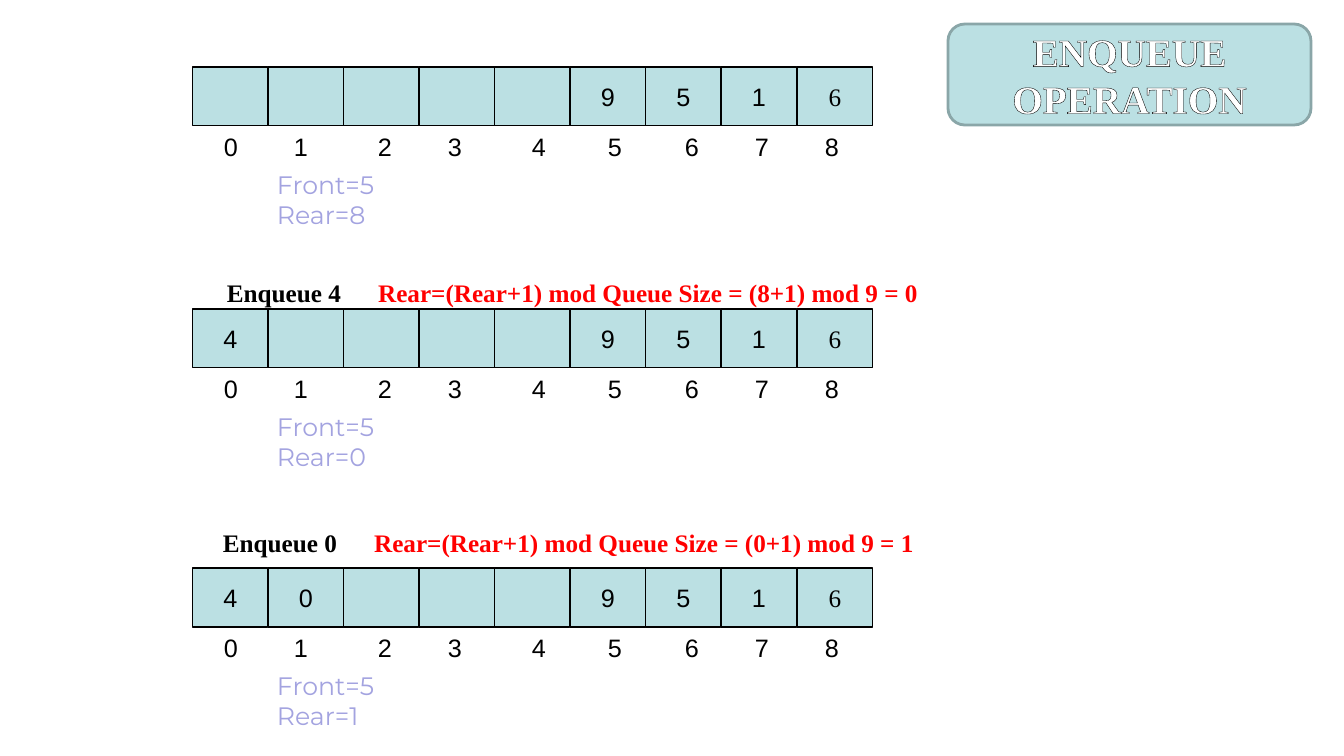
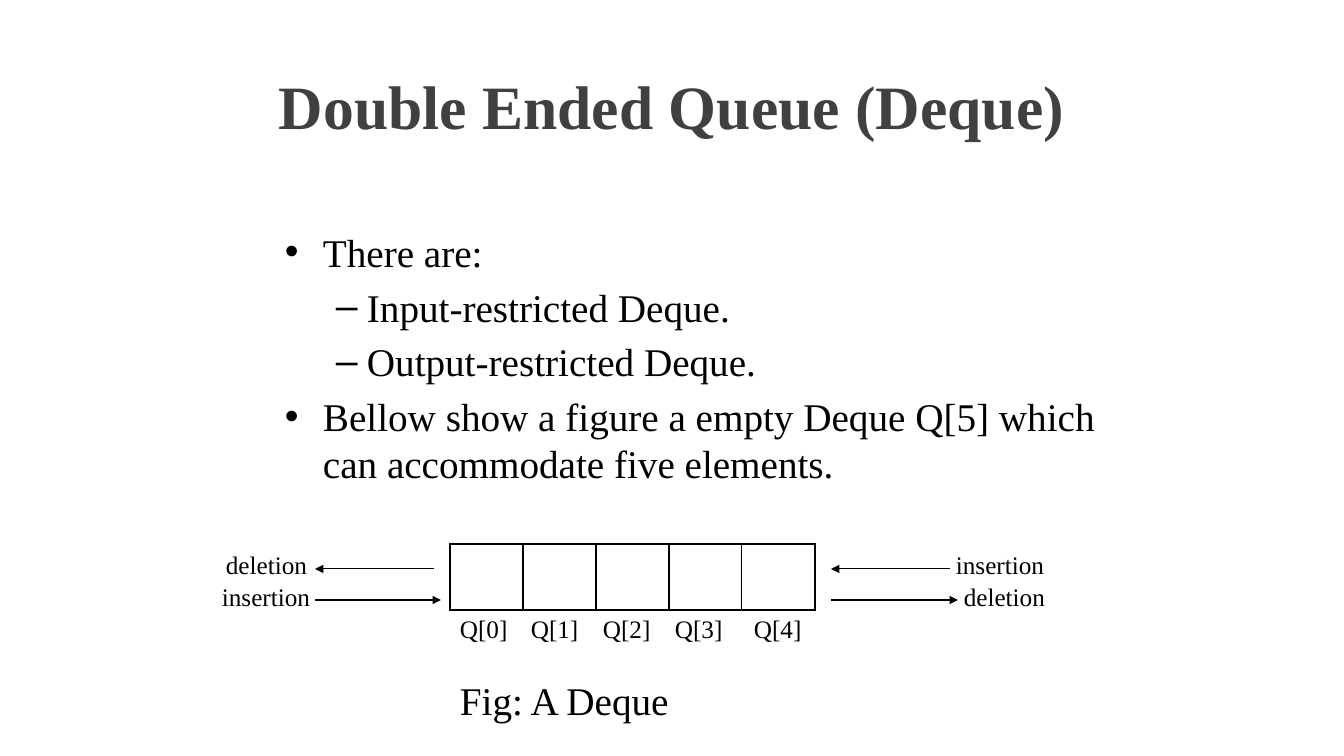
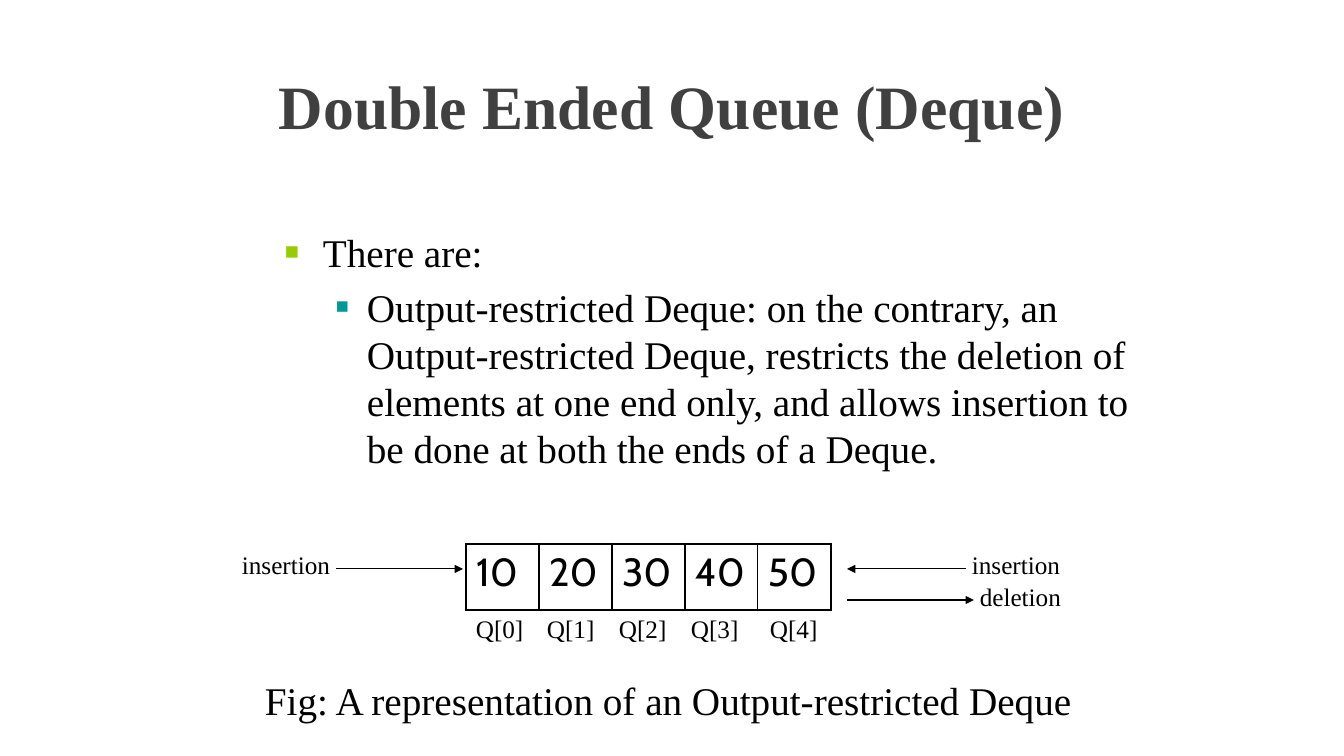
from dataclasses import dataclass
from typing import Optional, Sequence

from lxml.etree import SubElement
from pptx import Presentation
from pptx.dml.color import RGBColor
from pptx.enum.shapes import MSO_CONNECTOR as Connector
from pptx.enum.shapes import MSO_SHAPE as Shape
from pptx.enum.text import MSO_ANCHOR as Anchor
from pptx.enum.text import MSO_AUTO_SIZE as AutoSize
from pptx.enum.text import PP_ALIGN as Align
from pptx.oxml.ns import qn
from pptx.util import Emu, Pt

EMU_PER_INCH = 914400
PX_PER_INCH = 100.8
SLIDE_W, SLIDE_H = 1344, 756

BLACK = RGBColor(0x00, 0x00, 0x00)
WHITE = RGBColor(0xFF, 0xFF, 0xFF)
RED = RGBColor(0xFF, 0x00, 0x00)
AQUA = RGBColor(0xBB, 0xE0, 0xE3)
AQUA_EDGE = RGBColor(0x8A, 0xA6, 0xA8)
LAVENDER = RGBColor(0xA3, 0xA3, 0xE0)
TITLE_GREY = RGBColor(0x40, 0x40, 0x40)
LIME = RGBColor(0x99, 0xCC, 0x00)
TEAL = RGBColor(0x00, 0x99, 0x99)

SERIF, SANS, ROUND, DIGITS = "Times New Roman", "Arial", "Montserrat", "Cabin"

QUEUE_X, QUEUE_W, QUEUE_SIZE, CELL_H = 193, 680, 9, 59
INDEX_TABS = (28, 98, 182, 252, 336, 412, 489, 559, 629)
DEQUE_X, DEQUE_Y, DEQUE_COL, DEQUE_H = 450, 544, 73, 66
DEQUE_LABELS = (0, 71, 143, 215, 294)
UPPER_TEXT, LOWER_TEXT = 544, 576
UPPER_LINE, LOWER_LINE = 569, 600
SHIFT = 16


@dataclass(frozen=True)
class Style:
    size: int = 18
    font: str = SERIF
    color: RGBColor = BLACK
    bold: bool = False


@dataclass(frozen=True)
class Box:
    x: int
    y: int
    w: int
    h: int


@dataclass(frozen=True)
class Bullet:
    char: str
    level: int
    text: str
    color: Optional[RGBColor] = None
    percent: int = 100


@dataclass(frozen=True)
class Queue:
    y: int
    cells: str
    front: int
    rear: int


@dataclass(frozen=True)
class Step:
    x: int
    y: int
    action: str
    formula: str


@dataclass(frozen=True)
class Label:
    x: int
    y: int
    text: str


@dataclass(frozen=True)
class Arrow:
    start: int
    end: int
    y: int


@dataclass(frozen=True)
class Deque:
    shift: int
    bullets: Sequence[Bullet]
    values: Sequence[str]
    labels: Sequence[Label]
    arrows: Sequence[Arrow]
    caption: str
    caption_x: int
    caption_w: int


NOTE = Style()
LARGE = Style(size=28)
TITLE = Style(44, SERIF, TITLE_GREY, True)
BADGE = Style(28, SERIF, WHITE, True)
INDEX = Style(font=SANS)
POINTER = Style(font=ROUND, color=LAVENDER)
ACTION = Style(bold=True)
FORMULA = Style(color=RED, bold=True)
VALUE = Style(28, DIGITS)

QUEUES = (
    Queue(67, "     9516", 5, 8),
    Queue(309, "4    9516", 5, 0),
    Queue(568, "40   9516", 5, 1),
)
STEPS = (
    Step(217, 272, "Enqueue 4", "Rear=(Rear+1) mod Queue Size = (8+1) mod 9 = 0"),
    Step(213, 522, "Enqueue 0", "Rear=(Rear+1) mod Queue Size = (0+1) mod 9 = 1"),
)
RIGHT_LABELS = (Label(946, UPPER_TEXT, "insertion"), Label(954, LOWER_TEXT, "deletion"))
RIGHT_ARROWS = (Arrow(950, 831, UPPER_LINE), Arrow(831, 958, LOWER_LINE))
DEQUES = (
    Deque(
        0,
        (
            Bullet("•", 0, "There are:"),
            Bullet("–", 1, "Input-restricted Deque."),
            Bullet("–", 1, "Output-restricted Deque."),
            Bullet("•", 0, "Bellow show a figure a empty Deque Q[5] which can "
                           "accommodate five elements."),
        ),
        ("",) * 5,
        (Label(216, UPPER_TEXT, "deletion"), Label(212, LOWER_TEXT, "insertion")),
        (Arrow(434, 315, UPPER_LINE), Arrow(315, 441, LOWER_LINE)),
        "Fig: A Deque", 450, 381,
    ),
    Deque(
        SHIFT,
        (
            Bullet("■", 0, "There are:", LIME, 60),
            Bullet("■", 1, "Output-restricted Deque: on the contrary, an "
                           "Output-restricted Deque, restricts the deletion of elements "
                           "at one end only, and allows insertion to be done at both "
                           "the ends of a Deque.", TEAL, 55),
        ),
        ("10", "20", "30", "40", "50"),
        (Label(216, UPPER_TEXT, "insertion"),),
        (Arrow(320, 447, UPPER_LINE),),
        "Fig: A representation of an Output-restricted Deque", 255, 843,
    ),
)


def px(n: int) -> Emu:
    return Emu(round(n * EMU_PER_INCH / PX_PER_INCH))


def place(box: Box) -> tuple:
    return px(box.x), px(box.y), px(box.w), px(box.h)


def add_run(p, text: str, style: Style):
    r = p.add_run()
    r.text = text
    r.font.size = Pt(style.size)
    r.font.name = style.font
    r.font.bold = style.bold
    r.font.color.rgb = style.color
    return r


def add_text(shapes, box: Box, text: str = "", style: Style = NOTE):
    tf = shapes.add_textbox(*place(box)).text_frame
    tf.word_wrap = True
    tf.auto_size = AutoSize.NONE
    if text:
        add_run(tf.paragraphs[0], text, style)
    return tf


def add_box(shapes, kind: Shape, box: Box, edge: RGBColor, weight: float):
    sp = shapes.add_shape(kind, *place(box))
    sp.shadow.inherit = False
    sp.fill.solid()
    sp.fill.fore_color.rgb = AQUA
    sp.line.color.rgb = edge
    sp.line.width = Pt(weight)
    tf = sp.text_frame
    tf.vertical_anchor = Anchor.MIDDLE
    tf.paragraphs[0].alignment = Align.CENTER
    return tf


def add_solid(parent, color: RGBColor) -> None:
    SubElement(SubElement(parent, qn("a:solidFill")), qn("a:srgbClr"), val=str(color))


def outline_run(r, color: RGBColor, weight: float) -> None:
    rpr = r.font._element
    ln = SubElement(rpr, qn("a:ln"), w=str(Pt(weight)))
    add_solid(ln, color)
    rpr.insert(0, ln)


def add_tabs(p, stops: Sequence[int]) -> None:
    tabs = SubElement(p._p.get_or_add_pPr(), qn("a:tabLst"))
    for stop in stops:
        SubElement(tabs, qn("a:tab"), pos=str(px(stop)), algn="ctr")


def add_queue(s, queue: Queue) -> None:
    shapes = s.shapes.add_group_shape().shapes
    edges = [QUEUE_X + QUEUE_W * i // QUEUE_SIZE for i in range(QUEUE_SIZE + 1)]
    for left, right, value in zip(edges, edges[1:], queue.cells):
        tf = add_box(shapes, Shape.RECTANGLE, Box(left, queue.y, right - left, CELL_H), BLACK, 0.75)
        tf.word_wrap = False
        if value.strip():
            add_run(tf.paragraphs[0], value, NOTE if value == "6" else INDEX)
    tf = add_text(shapes, Box(QUEUE_X, queue.y + CELL_H, QUEUE_W, 40))
    p = tf.paragraphs[0]
    add_tabs(p, INDEX_TABS)
    add_run(p, "".join(f"\t{i}" for i in range(QUEUE_SIZE)), INDEX)
    tf = add_text(shapes, Box(267, queue.y + 97, 144, 71), f"Front={queue.front}", POINTER)
    add_run(tf.add_paragraph(), f"Rear={queue.rear}", POINTER)


def add_step(s, step: Step) -> None:
    p = add_text(s.shapes, Box(step.x, step.y, 770, 40)).paragraphs[0]
    add_run(p, f"{step.action}\t", ACTION)
    add_run(p, step.formula, FORMULA)


def add_badge(s, text: str) -> None:
    tf = add_box(s.shapes, Shape.ROUNDED_RECTANGLE, Box(948, 24, 363, 101), AQUA_EDGE, 2)
    tf.word_wrap = True
    outline_run(add_run(tf.paragraphs[0], text, BADGE), BLACK, 0.75)


def add_title(s, text: str) -> None:
    tf = add_text(s.shapes, Box(67, 42, 1210, 126), text, TITLE)
    tf.vertical_anchor = Anchor.MIDDLE
    tf.paragraphs[0].alignment = Align.CENTER


def add_bullets(s, bullets: Sequence[Bullet]) -> None:
    tf = add_text(s.shapes, Box(275, 223, 880, 454))
    for i, bullet in enumerate(bullets):
        p = tf.add_paragraph() if i else tf.paragraphs[0]
        p.level = bullet.level
        margin, hang = ((38, 38), (82, 31))[bullet.level]
        ppr = p._p.get_or_add_pPr()
        ppr.set("marL", str(px(margin)))
        ppr.set("indent", str(px(-hang)))
        if bullet.color is not None:
            SubElement(SubElement(ppr, qn("a:buClr")), qn("a:srgbClr"), val=str(bullet.color))
        SubElement(ppr, qn("a:buSzPct"), val=str(bullet.percent * 1000))
        SubElement(ppr, qn("a:buFont"), typeface=SANS)
        SubElement(ppr, qn("a:buChar"), char=bullet.char)
        if i:
            p.space_before = Pt(5.6)
        add_run(p, bullet.text, LARGE)


def set_borders(cell, weights: Sequence[float]) -> None:
    tcpr = cell._tc.get_or_add_tcPr()
    for i, (side, weight) in enumerate(zip("LRTB", weights)):
        ln = SubElement(tcpr, qn(f"a:ln{side}"), w=str(Pt(weight)))
        add_solid(ln, BLACK)
        tcpr.insert(i, ln)


def add_deque_table(s, x: int, values: Sequence[str]) -> None:
    box = Box(x, DEQUE_Y, DEQUE_COL * len(values), DEQUE_H)
    table = s.shapes.add_table(1, len(values), *place(box)).table
    table.first_row = False
    table.horz_banding = False
    last = len(values) - 1
    for i, value in enumerate(values):
        table.columns[i].width = px(DEQUE_COL)
        cell = table.cell(0, i)
        cell.fill.background()
        set_borders(cell, (1 if i else 2.25, 1 if i < last else 2.25, 2.25, 2.25))
        if value:
            add_run(cell.text_frame.paragraphs[0], value, VALUE)


def add_arrow(s, arrow: Arrow, shift: int) -> None:
    y = px(arrow.y)
    line = s.shapes.add_connector(
        Connector.STRAIGHT, px(arrow.start + shift), y, px(arrow.end + shift), y)
    line.line.color.rgb = BLACK
    line.line.width = Pt(0.75)
    SubElement(line.line._get_or_add_ln(), qn("a:tailEnd"), type="triangle")
    SubElement(line._element.spPr, qn("a:effectLst"))


def add_deque(s, deque: Deque) -> None:
    add_title(s, "Double Ended Queue (Deque)")
    add_bullets(s, deque.bullets)
    x = DEQUE_X + deque.shift
    add_deque_table(s, x, deque.values)
    for i, offset in enumerate(DEQUE_LABELS):
        add_text(s.shapes, Box(x + offset, 608, 80, 40), f"Q[{i}]")
    for arrow in (*deque.arrows, *RIGHT_ARROWS):
        add_arrow(s, arrow, deque.shift)
    for label in (*deque.labels, *RIGHT_LABELS):
        add_text(s.shapes, Box(label.x + deque.shift, label.y, 115, 40), label.text)
    add_text(s.shapes, Box(deque.caption_x, 671, deque.caption_w, 57), deque.caption, LARGE)


def main() -> None:
    prs = Presentation()
    prs.slide_width, prs.slide_height = px(SLIDE_W), px(SLIDE_H)
    blank = prs.slide_layouts[6]
    s = prs.slides.add_slide(blank)
    for queue in QUEUES:
        add_queue(s, queue)
    for step in STEPS:
        add_step(s, step)
    add_badge(s, "ENQUEUE OPERATION")
    for deque in DEQUES:
        add_deque(prs.slides.add_slide(blank), deque)
    prs.save("out.pptx")


if __name__ == "__main__":
    main()
